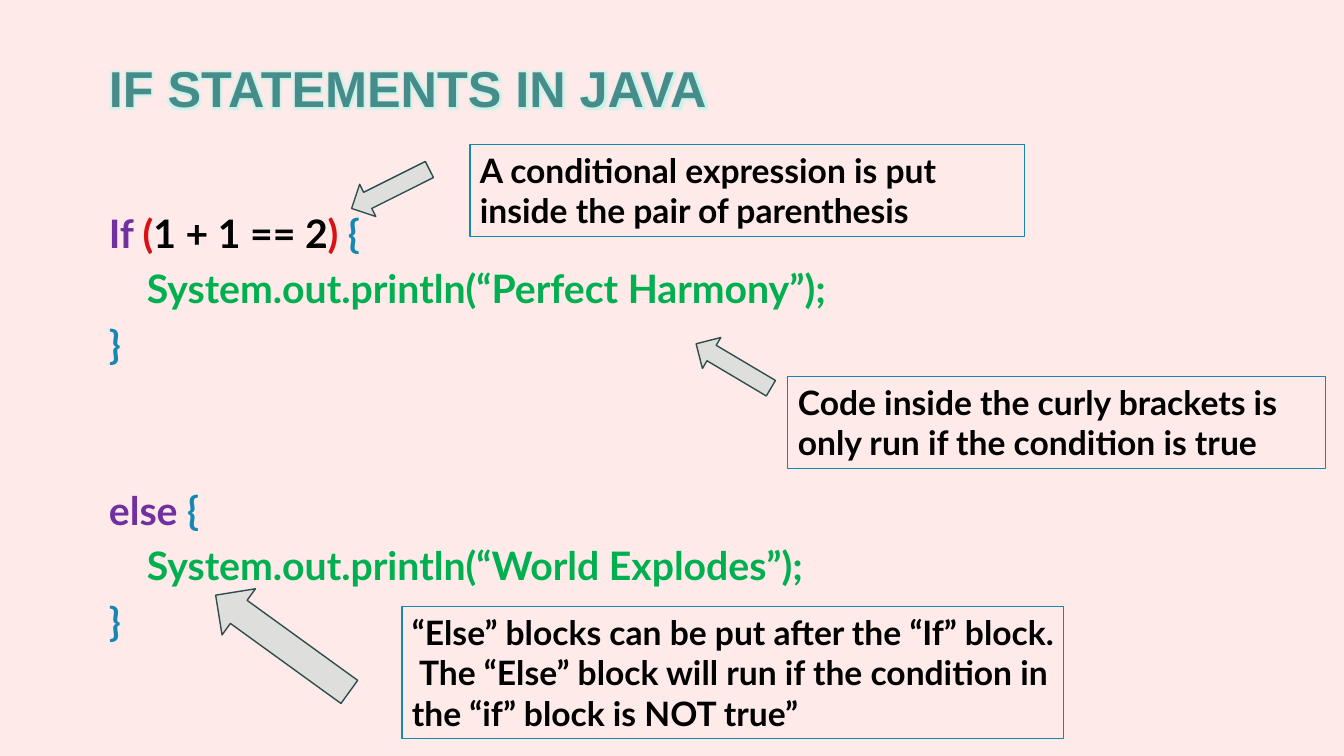
from pptx import Presentation
from pptx.dml.color import RGBColor as RGB
from pptx.enum.shapes import MSO_SHAPE as Shape
from pptx.enum.text import MSO_ANCHOR as Anchor
from pptx.oxml import parse_xml
from pptx.oxml.ns import nsdecls, qn
from pptx.util import Pt

PX = 914400 / 100.8
INDENT = 38
LINE_GAP = 79

PINK = RGB(0xFD, 0xEA, 0xE9)
TEAL = RGB(0x46, 0x8C, 0x8A)
MINT = RGB(0x66, 0xB2, 0xB0)
DARK = RGB(0x2D, 0x4E, 0x4D)
GLOW = RGB(0xC8, 0xF5, 0xEA)
BLUE = RGB(0x15, 0x87, 0xB1)
PURPLE = RGB(0x70, 0x30, 0xA0)
RED = RGB(0xDC, 0x10, 0x13)
GREEN = RGB(0x00, 0xB0, 0x50)
BLACK = RGB(0x00, 0x00, 0x00)

CODE = [
    (0, 0, [("If ", PURPLE), ("(", RED), ("1 + 1 == 2", BLACK),
            (") ", RED), ("{", BLUE)]),
    (INDENT, 0, [("System.out.println(“Perfect Harmony”);", GREEN)]),
    (0, 0, [("}", BLUE)]),
    (0, LINE_GAP, [("else ", PURPLE), ("{", BLUE)]),
    (INDENT, 0, [("System.out.println(“World Explodes”);", GREEN)]),
    (0, 0, [("}", BLUE)]),
]
NOTES = [
    ((470, 145, 555, 92),
     "A conditional expression is put inside the pair of parenthesis"),
    ((788, 377, 538, 92),
     "Code inside the curly brackets is only run if the condition is true"),
    ((402, 607, 662, 132),
     "“Else” blocks can be put after the “If” block.  The “Else” block "
     "will run if the condition in the “if” block is NOT true”"),
]
ARROWS = [
    ((347, 171, 87, 36), 153.4),
    ((690, 348, 87, 36), 210.7),
    ((200, 615, 165, 57), 215.9),
]


def emu(*sizes):
    """Turn px lengths into EMU."""
    return [round(size * PX) for size in sizes]


def style(run, size, color, face="Lato"):
    """Set the bold font of a run."""
    font = run.font
    font.name, font.size, font.bold = face, Pt(size), True
    font.color.rgb = color


def add_box(slide, area):
    """Add a wrapping text box."""
    box = slide.shapes.add_textbox(*emu(*area))
    box.text_frame.word_wrap = True
    return box


def add_title(slide, text):
    """Add the glowing title."""
    frame = add_box(slide, (99, 8, 1147, 115)).text_frame
    frame.vertical_anchor = Anchor.BOTTOM
    frame.text = text
    para = frame.paragraphs[0]
    para.line_spacing = 0.9
    run = para.runs[0]
    style(run, 36, TEAL, "Arial")
    glow = parse_xml(
        f'<a:effectLst {nsdecls("a")}><a:glow rad="63500">'
        f'<a:srgbClr val="{GLOW}"/></a:glow></a:effectLst>')
    run.font._element.find(qn("a:solidFill")).addnext(glow)


def add_code(slide):
    """Add the coloured code lines."""
    frame = add_box(slide, (99, 204, 833, 507)).text_frame
    for i, (indent, gap, parts) in enumerate(CODE):
        para = frame.add_paragraph() if i else frame.paragraphs[0]
        para.space_before, para.space_after = Pt(gap), Pt(6)
        para._p.get_or_add_pPr().set("marL", str(emu(indent)[0]))
        for text, color in parts:
            run = para.add_run()
            run.text = text
            style(run, 28, color)


def add_note(slide, area, text):
    """Add an outlined note."""
    box = add_box(slide, area)
    box.line.color.rgb = BLUE
    box.line.width = Pt(0.75)
    box.text_frame.text = text
    style(box.text_frame.paragraphs[0].runs[0], 24, BLACK)


def add_arrow(slide, area, angle):
    """Add a turned, see-through block arrow."""
    arrow = slide.shapes.add_shape(Shape.RIGHT_ARROW, *emu(*area))
    arrow.rotation = angle
    arrow.shadow.inherit = False
    arrow.fill.solid()
    arrow.fill.fore_color.rgb = MINT
    alpha = parse_xml(f'<a:alpha {nsdecls("a")} val="20000"/>')
    arrow._element.spPr.find(qn("a:solidFill"))[0].append(alpha)
    arrow.line.color.rgb = DARK
    arrow.line.width = Pt(1)


def main():
    """Build and save the slide."""
    deck = Presentation()
    deck.slide_width, deck.slide_height = emu(1344, 756)
    slide = deck.slides.add_slide(deck.slide_layouts[6])
    slide.background.fill.solid()
    slide.background.fill.fore_color.rgb = PINK
    add_code(slide)
    add_title(slide, "IF STATEMENTS IN JAVA")
    for area, text in NOTES:
        add_note(slide, area, text)
    for area, angle in ARROWS:
        add_arrow(slide, area, angle)
    deck.save("out.pptx")


if __name__ == "__main__":
    main()
